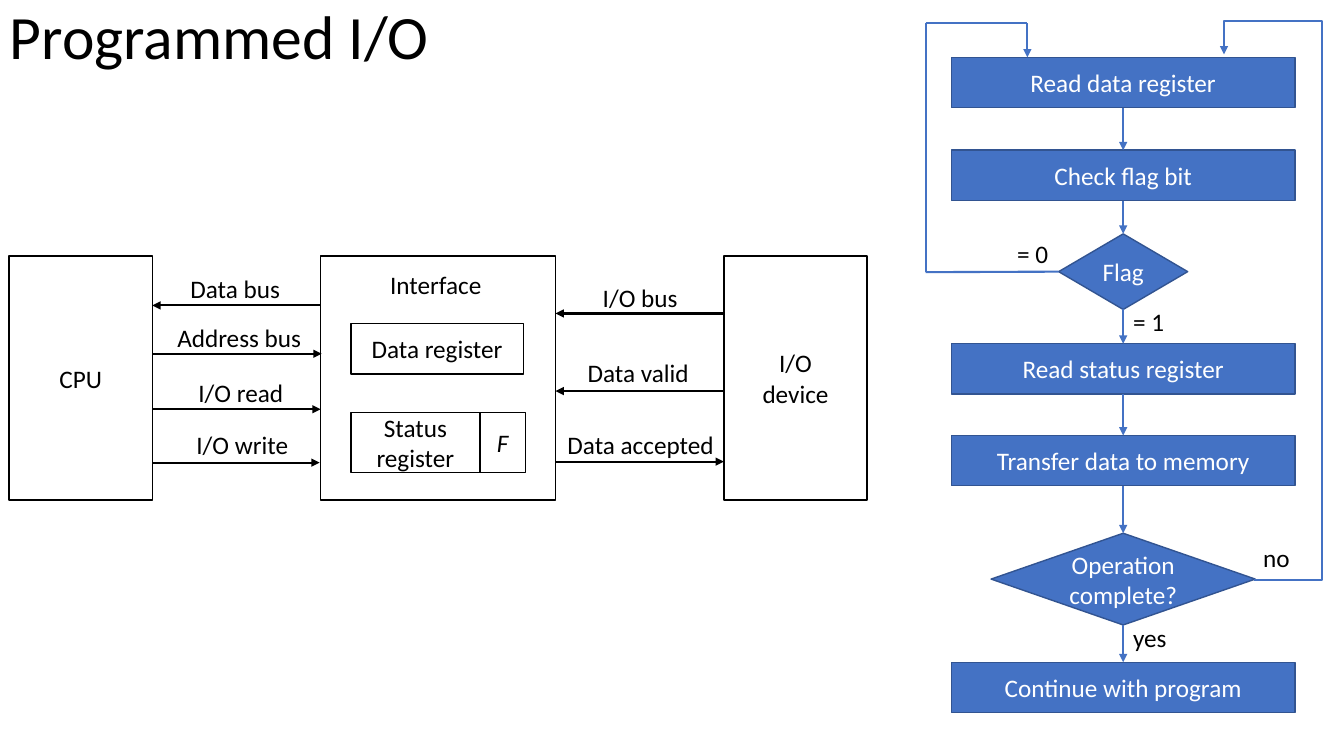
from lxml.etree import SubElement
from pptx import Presentation
from pptx.dml.color import RGBColor
from pptx.enum.shapes import MSO_CONNECTOR, MSO_SHAPE
from pptx.enum.text import MSO_ANCHOR, PP_ALIGN
from pptx.oxml.ns import qn
from pptx.util import Pt

PX = 9144  # 100 px to the inch
COLORS = {"ink": "000000", "paper": "FFFFFF", "blue": "4472C4", "edge": "325491"}

TITLE = ("Programmed I/O", 0, 0, 477, 78)

# text, left, top, width, height, italic
BLOCKS = [
    ("CPU", 9, 254, 142, 242, False),
    ("", 318, 254, 233, 242, False),
    ("Data register", 348, 321, 171, 50, False),
    ("Status register", 348, 409, 128, 60, False),
    ("F", 476, 409, 45, 60, True),
    ("I/O\ndevice", 718, 254, 142, 242, False),
]

# from x, to x, y
SIGNALS = [
    (318, 151, 303),
    (152, 319, 351),
    (151, 318, 406),
    (151, 317, 459),
    (718, 551, 311),
    (718, 551, 388),
    (551, 718, 458),
]

# text, left, top, width
LABELS = [
    ("Interface", 377, 262, 113),
    ("Data bus", 179, 266, 117),
    ("Address bus", 166, 315, 155),
    ("I/O read", 187, 369, 106),
    ("I/O write", 185, 421, 117),
    ("I/O bus", 588, 275, 96),
    ("Data valid", 573, 350, 128),
    ("Data accepted", 553, 421, 171),
    ("= 0", 999, 232, 55),
    ("= 1", 1114, 299, 55),
    ("yes", 1114, 612, 55),
    ("no", 1243, 533, 55),
]
LABEL_HEIGHT = 40

# preset shape, text, top, width, height
FLOW_CENTER = 1114
FLOW = [
    (MSO_SHAPE.RECTANGLE, "Read data register", 57, 341, 50),
    (MSO_SHAPE.RECTANGLE, "Check flag bit", 149, 341, 50),
    (MSO_SHAPE.DIAMOND, "Flag", 232, 128, 75),
    (MSO_SHAPE.RECTANGLE, "Read status register", 341, 341, 50),
    (MSO_SHAPE.RECTANGLE, "Transfer data to memory", 432, 341, 50),
    (MSO_SHAPE.DIAMOND, "Operation complete?", 529, 262, 91),
    (MSO_SHAPE.RECTANGLE, "Continue with program", 657, 341, 50),
]
FLAG_STEP = 2
FLAG_LOOP = [(1050, 270), (918, 270), (918, 23), (1019, 23), (1019, 57)]
REPEAT_LOOP = [(1244, 575), (1214, 54)]
REPEAT_BENDS = {"adj1": -225500, "adj2": 106300}


def emu(*lengths):
    return [round(length * PX) for length in lengths]


def rgb(name):
    return RGBColor.from_string(COLORS[name])


def write(shape, text, size=18, color="ink", italic=False,
          align=PP_ALIGN.LEFT, anchor=MSO_ANCHOR.TOP, spacing=None):
    frame = shape.text_frame
    frame.word_wrap = True
    frame.vertical_anchor = anchor
    for index, line in enumerate(text.split("\n")):
        para = frame.paragraphs[0] if index == 0 else frame.add_paragraph()
        para.alignment = align
        para.line_spacing = spacing
        span = para.add_run()
        span.text = line
        span.font.name = "Calibri"
        span.font.size = Pt(size)
        span.font.italic = italic
        span.font.color.rgb = rgb(color)


def add_label(page, text, left, top, width, height=LABEL_HEIGHT, **style):
    box = page.shapes.add_textbox(*emu(left, top, width, height))
    write(box, text, **style)


def add_block(page, kind, text, place, fill=None, edge="ink", **style):
    block = page.shapes.add_shape(kind, *emu(*place))
    block.shadow.inherit = False
    if fill:
        block.fill.solid()
        block.fill.fore_color.rgb = rgb(fill)
    else:
        block.fill.background()
    block.line.color.rgb = rgb(edge)
    block.line.width = Pt(1)
    if text:
        write(block, text, align=PP_ALIGN.CENTER, anchor=MSO_ANCHOR.MIDDLE, **style)
    return block


def add_line(page, start, end, color, arrow=True, kind=MSO_CONNECTOR.STRAIGHT):
    line = page.shapes.add_connector(kind, *emu(*start, *end))
    line.line.color.rgb = rgb(color)
    line.line.width = Pt(1.5)
    if arrow:
        SubElement(line.line._get_or_add_ln(), qn("a:tailEnd"), type="triangle")
    SubElement(line._element.spPr, qn("a:effectLst"))
    return line


def bend_twice(line, bends):
    """Turn an elbow connector into one with three corners."""
    geometry = line._element.spPr.find(qn("a:prstGeom"))
    geometry.set("prst", "bentConnector4")
    guides = geometry.find(qn("a:avLst"))
    if guides is None:
        guides = SubElement(geometry, qn("a:avLst"))
    for name, value in bends.items():
        SubElement(guides, qn("a:gd"), name=name, fmla=f"val {value}")


def draw_interface(page):
    for text, *place, italic in BLOCKS:
        add_block(page, MSO_SHAPE.RECTANGLE, text, place, italic=italic)
    for start, end, y in SIGNALS:
        add_line(page, (start, y), (end, y), "ink")


def draw_flow(page):
    steps = []
    for kind, text, top, width, height in FLOW:
        place = (FLOW_CENTER - width / 2, top, width, height)
        steps.append(add_block(page, kind, text, place,
                               fill="blue", edge="edge", color="paper"))
    for upper, lower in zip(steps, steps[1:]):
        arrow = add_line(page, (FLOW_CENTER, 0), (FLOW_CENTER, 1), "blue")
        arrow.begin_connect(upper, 2)
        arrow.end_connect(lower, 0)

    corners = list(zip(FLAG_LOOP, FLAG_LOOP[1:]))
    for start, end in corners:
        line = add_line(page, start, end, "blue", arrow=end == FLAG_LOOP[-1])
        if start == FLAG_LOOP[0]:
            line.begin_connect(steps[FLAG_STEP], 1)

    repeat = add_line(page, *REPEAT_LOOP, "blue", kind=MSO_CONNECTOR.ELBOW)
    bend_twice(repeat, REPEAT_BENDS)


def main():
    deck = Presentation()
    deck.slide_width, deck.slide_height = emu(1333, 750)
    page = deck.slides.add_slide(deck.slide_layouts[6])
    add_label(page, *TITLE, size=44, anchor=MSO_ANCHOR.MIDDLE, spacing=0.9)
    draw_interface(page)
    draw_flow(page)
    for label in LABELS:
        add_label(page, *label)
    deck.save("out.pptx")


if __name__ == "__main__":
    main()
